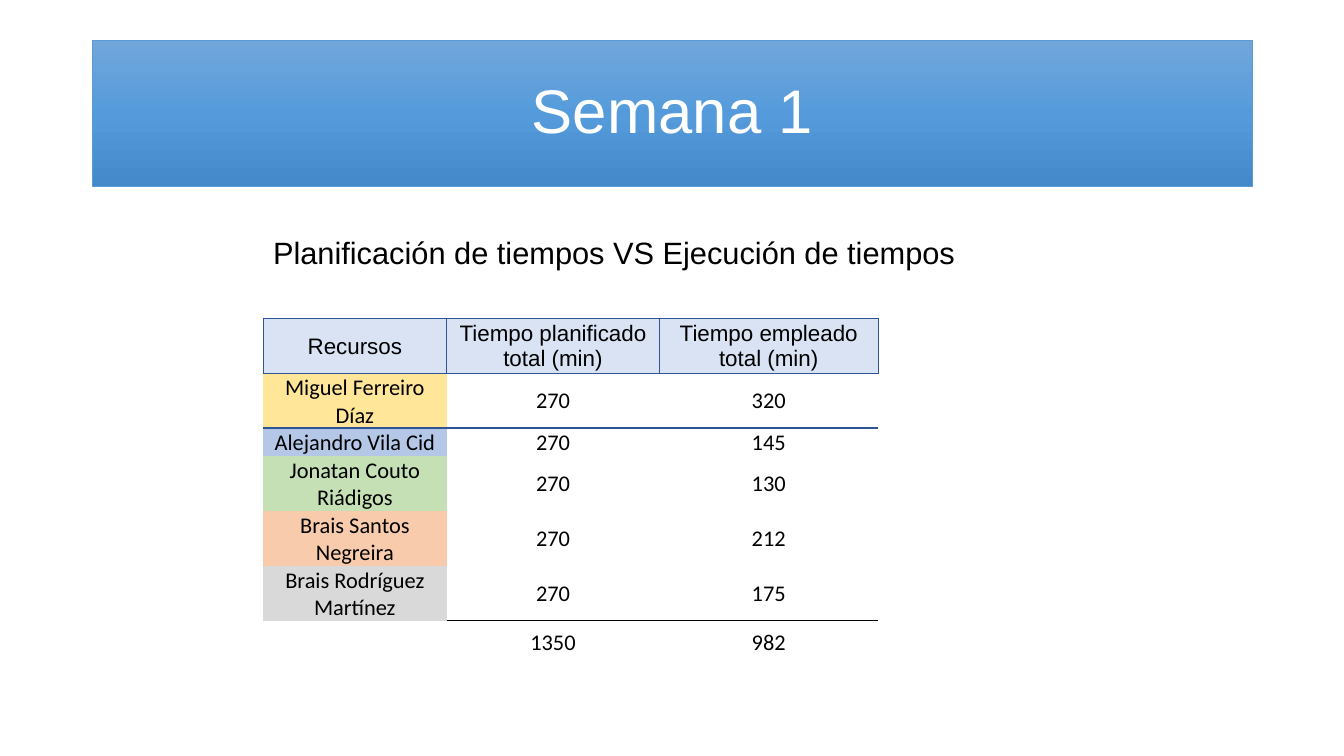
from copy import deepcopy
from dataclasses import dataclass

from lxml.etree import SubElement
from pptx import Presentation
from pptx.dml.color import RGBColor
from pptx.enum.shapes import MSO_SHAPE
from pptx.enum.text import MSO_ANCHOR, PP_ALIGN
from pptx.oxml.ns import qn
from pptx.util import Inches, Pt


@dataclass(frozen=True)
class Theme:
    """Colours, fonts and type sizes of the slide."""
    white: str = "FFFFFF"
    black: str = "000000"
    banner: tuple = ("71A6DB", "559BDB", "448ACA")
    banner_line: str = "5B9BD5"
    header: str = "DAE3F3"
    header_line: str = "2F5597"
    people: tuple = ("FFE699", "B4C7E7", "C5E0B4", "F8CBAD", "D9D9D9")
    heading_font: str = "Arial"
    body_font: str = "Calibri"
    title_size: int = 44
    subtitle_size: int = 22
    table_size: int = 16


def rgb(code):
    """Turn a hex code into a colour."""
    return RGBColor.from_string(code)


def box(*lengths):
    """Turn left, top, width and height into lengths."""
    return [Inches(n) for n in lengths]


class SlideBuilder:
    """Draws elements on one slide in one theme."""

    def __init__(self, slide, theme):
        """Keep the slide and its theme."""
        self.s, self.theme = slide, theme

    def add_text(self, tf, text, size, font, color, **paragraph):
        """Put one formatted run in the first paragraph of a text frame."""
        p = tf.paragraphs[0]
        for name, value in paragraph.items():
            setattr(p, name, value)
        r = p.add_run()
        r.text = text
        for name, value in {"size": Pt(size), "name": font}.items():
            setattr(r.font, name, value)
        r.font.color.rgb = rgb(color)

    def banner(self, text, *at):
        """Draw the title on a rectangle with a vertical gradient."""
        t = self.theme
        sp = self.s.shapes.add_shape(MSO_SHAPE.RECTANGLE, *box(*at))
        sp.shadow.inherit = False
        sp.fill.gradient()
        sp.fill.gradient_angle = 270
        stops = next(sp._element.iter(qn("a:gsLst")))
        stops.append(deepcopy(stops[-1]))
        for i, (stop, color) in enumerate(zip(sp.fill.gradient_stops, t.banner)):
            stop.position = i / 2
            stop.color.rgb = rgb(color)
        sp.line.color.rgb = rgb(t.banner_line)
        sp.line.width = Pt(0.5)
        sp.text_frame.vertical_anchor = MSO_ANCHOR.MIDDLE
        self.add_text(sp.text_frame, text, t.title_size, t.heading_font, t.white,
                      alignment=PP_ALIGN.CENTER, line_spacing=0.9)

    def text(self, text, *at):
        """Add a subtitle text box."""
        t = self.theme
        tf = self.s.shapes.add_textbox(*box(*at)).text_frame
        tf.word_wrap = True
        self.add_text(tf, text, t.subtitle_size, t.heading_font, t.black)

    def border(self, cell, sides, color, width):
        """Draw the given sides of a cell, in the order L, R, T, B."""
        tcPr = cell._tc.get_or_add_tcPr()
        for side in sides:
            ln = SubElement(tcPr, qn(f"a:ln{side}"), w=str(Pt(width)))
            fill = SubElement(ln, qn("a:solidFill"))
            SubElement(fill, qn("a:srgbClr"), val=color)

    def cell(self, cell, text, font, fill=None, border=None):
        """Format and fill one table cell."""
        t = self.theme
        style = {"margin_left": Inches(0.01), "margin_right": Inches(0.01),
                 "margin_top": Inches(0.01), "margin_bottom": 0,
                 "vertical_anchor": MSO_ANCHOR.MIDDLE}
        for name, value in style.items():
            setattr(cell, name, value)
        if border:
            self.border(cell, *border)
        if fill:
            cell.fill.solid()
            cell.fill.fore_color.rgb = rgb(fill)
        else:
            cell.fill.background()
        if text:
            self.add_text(cell.text_frame, text, t.table_size, font, t.black,
                          alignment=PP_ALIGN.CENTER)

    def table(self, rows, left, top, widths, heights):
        """Add a table with a header, one coloured row a person and totals."""
        t = self.theme
        frame = self.s.shapes.add_table(
            len(rows), len(widths), *box(left, top, sum(widths), sum(heights)))
        tbl = frame.table
        tbl.first_row = tbl.horz_banding = False
        # Built-in table style with neither fills nor grid
        next(tbl._tbl.iter(qn("a:tableStyleId"))).text = "{2D5ABB26-0587-4C30-8999-92F81FD0307C}"
        for lines, name, sizes in ((tbl.columns, "width", widths),
                                   (tbl.rows, "height", heights)):
            for line, size in zip(lines, sizes):
                setattr(line, name, Inches(size))
        total = len(rows) - 1
        for i, row in enumerate(rows):
            for j, value in enumerate(row):
                font, fill, border = t.body_font, None, None
                if i == 0:
                    font, fill = t.heading_font, t.header
                    border = ("LRTB", t.header_line, 1)
                elif i == 1:
                    border = ("T", t.header_line, 1)
                elif j and i >= total - 1:
                    border = ("T" if i == total else "B", t.black, 0.5)
                if j == 0 and 0 < i < total:
                    fill = t.people[i - 1]
                self.cell(tbl.cell(i, j), str(value), font, fill, border)


PLANNED = 270
SPENT = {
    "Miguel Ferreiro Díaz": 320,
    "Alejandro Vila Cid": 145,
    "Jonatan Couto Riádigos": 130,
    "Brais Santos Negreira": 212,
    "Brais Rodríguez Martínez": 175,
}


def main():
    """Build and save the slide."""
    prs = Presentation()
    prs.slide_width, prs.slide_height = Inches(13.33), Inches(7.5)
    b = SlideBuilder(prs.slides.add_slide(prs.slide_layouts[6]), Theme())
    b.banner("Semana 1", 0.92, 0.4, 11.5, 1.45)
    b.text("Planificación de tiempos VS Ejecución de tiempos", 2.61, 2.27, 7, 0.47)
    rows = [("Recursos", "Tiempo planificado total (min)", "Tiempo empleado total (min)")]
    rows += [(person, PLANNED, spent) for person, spent in SPENT.items()]
    rows.append(("", PLANNED * len(SPENT), sum(SPENT.values())))
    b.table(rows, 2.61, 3.16, (1.82, 2.11, 2.17),
            (0.54, 0.54, 0.28, 0.54, 0.54, 0.54, 0.43))
    prs.save("out.pptx")


main()
